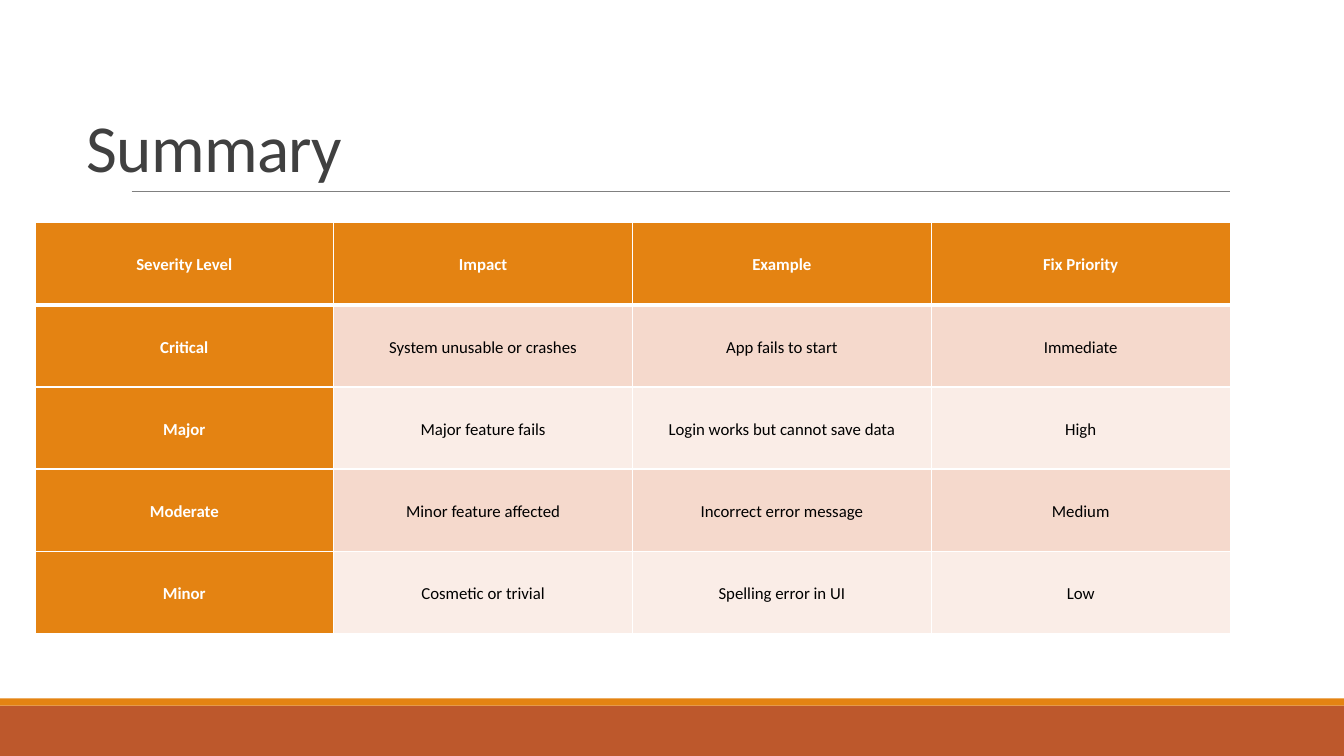
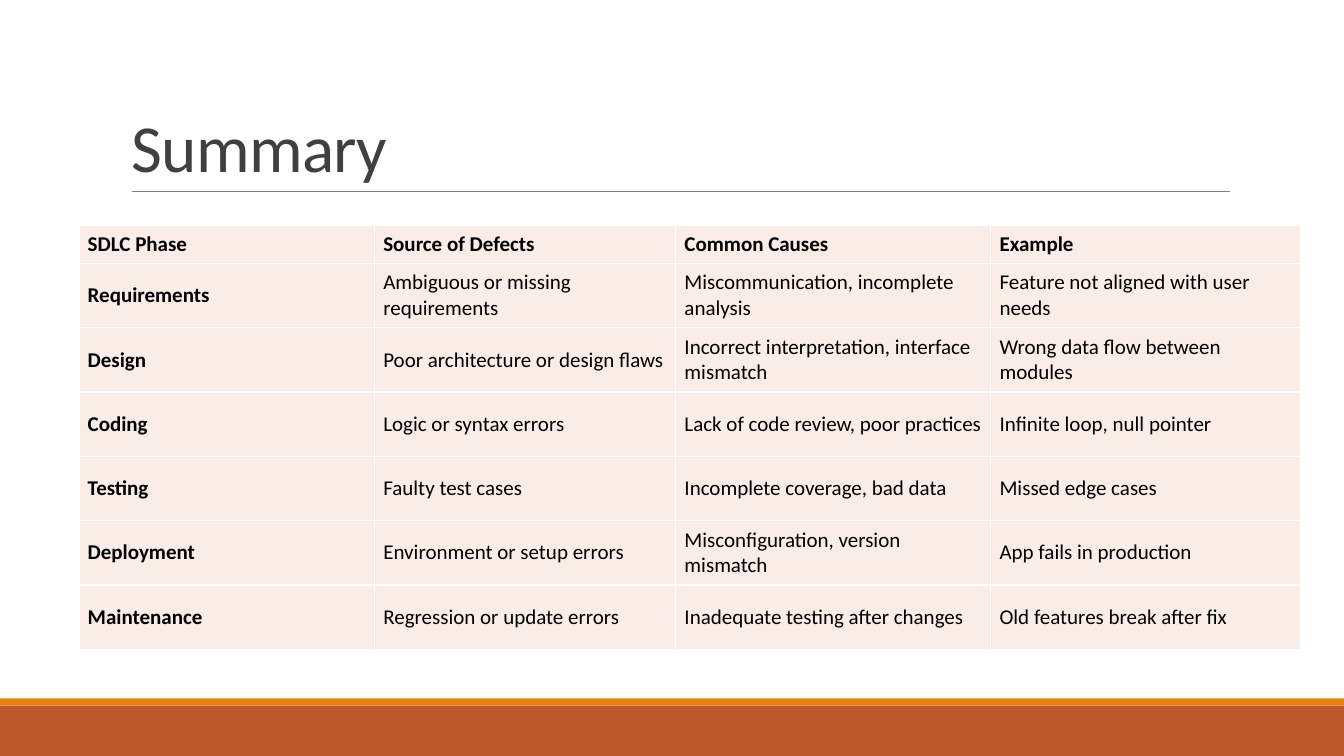
from dataclasses import dataclass

from lxml import etree
from pptx import Presentation
from pptx.dml.color import RGBColor
from pptx.enum.shapes import MSO_CONNECTOR, MSO_SHAPE
from pptx.enum.text import MSO_ANCHOR, MSO_AUTO_SIZE, PP_ALIGN
from pptx.oxml.ns import qn
from pptx.slide import Slide
from pptx.table import _Cell
from pptx.text.text import TextFrame
from pptx.util import Cm, Pt

RECTANGLE = MSO_SHAPE.RECTANGLE
STRAIGHT = MSO_CONNECTOR.STRAIGHT
LEFT, CENTER = PP_ALIGN.LEFT, PP_ALIGN.CENTER
MIDDLE, BOTTOM = MSO_ANCHOR.MIDDLE, MSO_ANCHOR.BOTTOM
NO_AUTOFIT = MSO_AUTO_SIZE.NONE

FONT = "Calibri"
WHITE, BLACK = "FFFFFF", "000000"
TITLE_GREY, RULE_GREY = "404040", "808080"
ORANGE, RUST = "E48312", "BD582C"
PEACH, PALE_PEACH = "F5D9CC", "FAEDE7"

SLIDE_WIDTH, SLIDE_HEIGHT = 33.87, 19.05
TITLE_TOP, TITLE_HEIGHT = 0.79, 4.04
RULE_LEFT, RULE_RIGHT, RULE_TOP = 3.32, 31.0, 4.82
THIN_BORDER, THICK_BORDER = 1, 3


@dataclass(frozen=True)
class Band:
    top: float
    height: float
    color: str


@dataclass(frozen=True)
class TableStyle:
    size: float
    align: PP_ALIGN
    margin_x: float
    margin_y: float
    line_spacing: float
    space_after: float
    heading_fill: str
    heading_color: str
    row_fills: tuple[str, ...]
    header_border: float


@dataclass(frozen=True)
class SummaryPage:
    title: str
    title_left: float
    title_width: float
    table_left: float
    table_top: float
    column_widths: tuple[float, ...]
    row_heights: tuple[float, ...]
    style: TableStyle
    rows: tuple[tuple[str, ...], ...]


BANDS = (Band(17.78, 1.27, RUST), Band(17.6, 0.18, ORANGE))

SEVERITY_STYLE = TableStyle(
    size=12, align=CENTER, margin_x=0.02, margin_y=0.02,
    line_spacing=1.15, space_after=8,
    heading_fill=ORANGE, heading_color=WHITE,
    row_fills=(PEACH, PALE_PEACH), header_border=THICK_BORDER,
)
PHASE_STYLE = TableStyle(
    size=15, align=LEFT, margin_x=0.22, margin_y=0.11,
    line_spacing=1, space_after=0,
    heading_fill=PALE_PEACH, heading_color=BLACK,
    row_fills=(PALE_PEACH,), header_border=THIN_BORDER,
)

PAGES = (
    SummaryPage(
        "Summary", 1.93, 29.07, 0.88, 5.61, (7.53,) * 4, (2.07,) * 5, SEVERITY_STYLE,
        (
            ("Severity Level", "Impact", "Example", "Fix Priority"),
            ("Critical", "System unusable or crashes", "App fails to start", "Immediate"),
            ("Major", "Major feature fails", "Login works but cannot save data", "High"),
            ("Moderate", "Minor feature affected", "Incorrect error message", "Medium"),
            ("Minor", "Cosmetic or trivial", "Spelling error in UI", "Low"),
        ),
    ),
    SummaryPage(
        "Summary", 3.06, 27.94, 1.99, 5.67, (7.45, 7.59, 7.94, 7.8),
        (0.97,) + (1.62,) * 6, PHASE_STYLE,
        (
            ("SDLC Phase", "Source of Defects", "Common Causes", "Example"),
            ("Requirements", "Ambiguous or missing requirements",
             "Miscommunication, incomplete analysis", "Feature not aligned with user needs"),
            ("Design", "Poor architecture or design flaws",
             "Incorrect interpretation, interface mismatch", "Wrong data flow between modules"),
            ("Coding", "Logic or syntax errors",
             "Lack of code review, poor practices", "Infinite loop, null pointer"),
            ("Testing", "Faulty test cases", "Incomplete coverage, bad data", "Missed edge cases"),
            ("Deployment", "Environment or setup errors",
             "Misconfiguration, version mismatch", "App fails in production"),
            ("Maintenance", "Regression or update errors",
             "Inadequate testing after changes", "Old features break after fix"),
        ),
    ),
)


def rgb(color: str) -> RGBColor:
    return RGBColor.from_string(color)


def write(
    frame: TextFrame,
    text: str,
    *,
    size: float,
    color: str,
    bold: bool = False,
    align: PP_ALIGN = LEFT,
    line_spacing: float = 1,
    space_after: float = 0,
    tracking: float = 0,
) -> None:
    """Fill the first paragraph; tracking is the letter spacing in points."""
    para = frame.paragraphs[0]
    para.alignment = align
    para.line_spacing = line_spacing
    para.space_before = Pt(0)
    para.space_after = Pt(space_after)
    span = para.add_run()
    span.text = text
    span.font.name = FONT
    span.font.size = Pt(size)
    span.font.bold = bold
    span.font.color.rgb = rgb(color)
    if tracking:
        span.font._element.set("spc", str(round(tracking * 100)))


def draw_frame(page: Slide) -> None:
    """Draw the bottom bands and the rule under the title."""
    for band in BANDS:
        box = page.shapes.add_shape(
            RECTANGLE, Cm(0), Cm(band.top), Cm(SLIDE_WIDTH), Cm(band.height)
        )
        box.shadow.inherit = False
        box.fill.solid()
        box.fill.fore_color.rgb = rgb(band.color)
        box.line.fill.background()
    rule = page.shapes.add_connector(
        STRAIGHT, Cm(RULE_LEFT), Cm(RULE_TOP), Cm(RULE_RIGHT), Cm(RULE_TOP)
    )
    rule.line.color.rgb = rgb(RULE_GREY)
    rule.line.width = Pt(0.5)
    etree.SubElement(rule._element.spPr, qn("a:effectLst"))


def draw_title(page: Slide, summary: SummaryPage) -> None:
    title = page.shapes.title
    title.left, title.top = Cm(summary.title_left), Cm(TITLE_TOP)
    title.width, title.height = Cm(summary.title_width), Cm(TITLE_HEIGHT)
    frame = title.text_frame
    frame.word_wrap = True
    frame.auto_size = NO_AUTOFIT
    frame.vertical_anchor = BOTTOM
    write(frame, summary.title, size=48, color=TITLE_GREY, line_spacing=0.85, tracking=-0.5)


def set_borders(cell: _Cell, top: float, bottom: float) -> None:
    """Add white borders; call before the fill, which must follow them in the XML."""
    properties = cell._tc.get_or_add_tcPr()
    widths = {"lnL": THIN_BORDER, "lnR": THIN_BORDER, "lnT": top, "lnB": bottom}
    for side, width in widths.items():
        border = etree.SubElement(properties, qn(f"a:{side}"), w=str(Pt(width)))
        fill = etree.SubElement(border, qn("a:solidFill"))
        etree.SubElement(fill, qn("a:srgbClr"), val=WHITE)


def draw_table(page: Slide, summary: SummaryPage) -> None:
    style = summary.style
    table = page.shapes.add_table(
        len(summary.rows), len(summary.column_widths),
        Cm(summary.table_left), Cm(summary.table_top),
        Cm(sum(summary.column_widths)), Cm(sum(summary.row_heights)),
    ).table
    table.horz_banding = False
    for column, width in zip(table.columns, summary.column_widths):
        column.width = Cm(width)
    for row, height in zip(table.rows, summary.row_heights):
        row.height = Cm(height)

    for row_index, texts in enumerate(summary.rows):
        row_fill = style.row_fills[(row_index - 1) % len(style.row_fills)]
        top = style.header_border if row_index == 1 else THIN_BORDER
        bottom = style.header_border if row_index == 0 else THIN_BORDER
        for column_index, text in enumerate(texts):
            heading = row_index == 0 or column_index == 0
            cell = table.cell(row_index, column_index)
            cell.margin_left = cell.margin_right = Cm(style.margin_x)
            cell.margin_top = cell.margin_bottom = Cm(style.margin_y)
            cell.vertical_anchor = MIDDLE
            set_borders(cell, top, bottom)
            cell.fill.solid()
            cell.fill.fore_color.rgb = rgb(style.heading_fill if heading else row_fill)
            write(
                cell.text_frame, text,
                size=style.size,
                color=style.heading_color if heading else BLACK,
                bold=heading,
                align=style.align,
                line_spacing=style.line_spacing,
                space_after=style.space_after,
            )


def main() -> None:
    deck = Presentation()
    deck.slide_width, deck.slide_height = Cm(SLIDE_WIDTH), Cm(SLIDE_HEIGHT)
    title_only = deck.slide_layouts.get_by_name("Title Only")
    for summary in PAGES:
        page = deck.slides.add_slide(title_only)
        draw_frame(page)
        draw_title(page, summary)
        draw_table(page, summary)
    deck.save("out.pptx")


if __name__ == "__main__":
    main()
